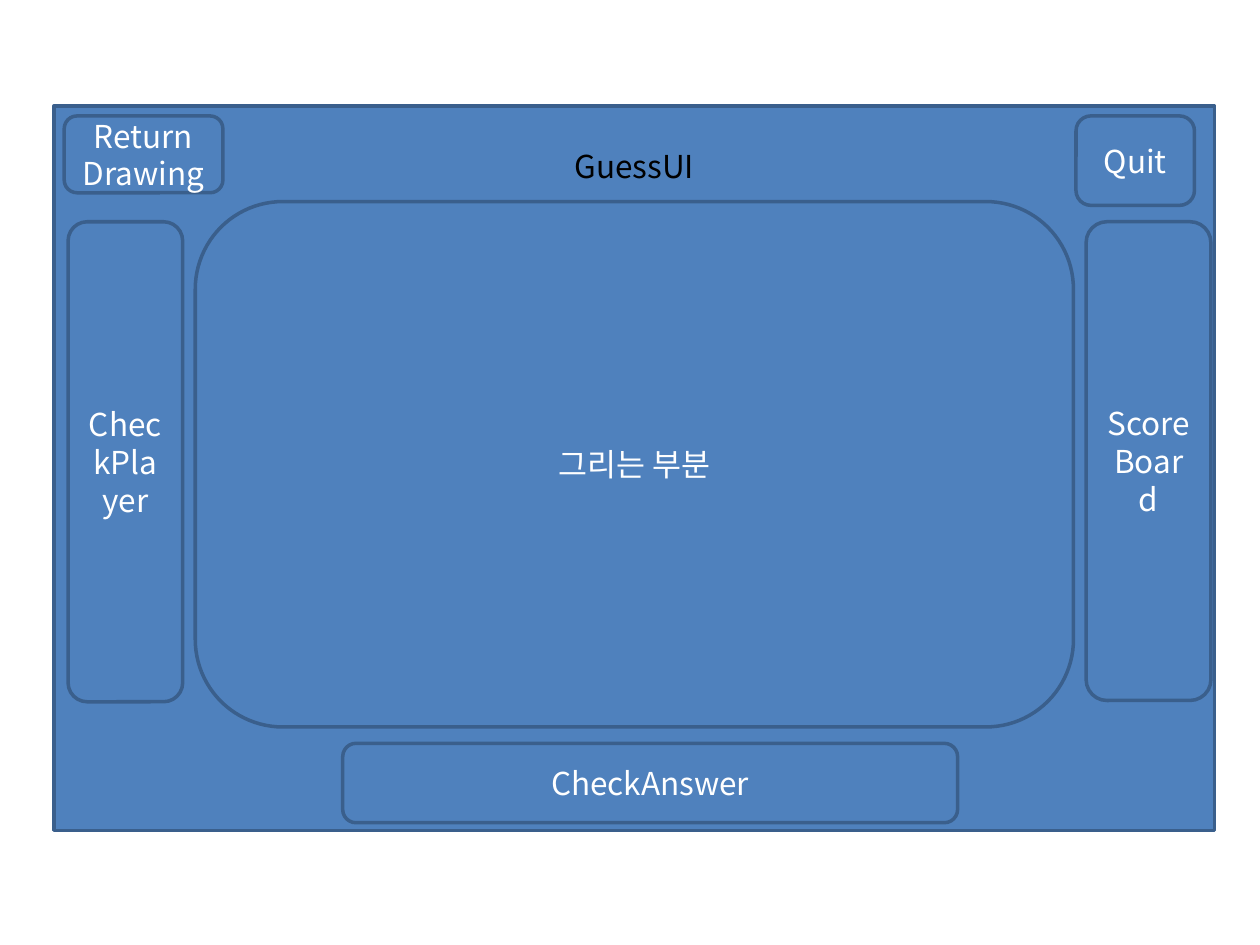
from lxml import etree
from pptx import Presentation
from pptx import util as u
from pptx.dml.color import RGBColor
from pptx.enum import shapes, text
from pptx.oxml import ns

BLUE = RGBColor(0x4F, 0x81, 0xBD)
BORDER = RGBColor(0x3A, 0x5F, 0x8C)
WHITE = RGBColor(0xFF, 0xFF, 0xFF)
BLACK = RGBColor(0x00, 0x00, 0x00)

RECTANGLE = shapes.MSO_SHAPE.RECTANGLE
ROUNDED = shapes.MSO_SHAPE.ROUNDED_RECTANGLE


class Wireframe:
    """Holds the text style and the slide being drawn."""

    font_format = {"name": "Noto Sans CJK KR", "size": u.Pt(18)}

    def __init__(self, slide):
        self.slide = slide

    def set_text(self, shape, lines, color, anchor):
        frame = shape.text_frame
        frame.word_wrap = True
        frame.vertical_anchor = anchor
        frame.text = "\n".join(lines)
        for paragraph in frame.paragraphs:
            paragraph.alignment = text.PP_ALIGN.CENTER
            for run in paragraph.runs:
                for name, value in self.font_format.items():
                    setattr(run.font, name, value)
                run.font.color.rgb = color
                # Hangul takes its font from the East Asian slot
                properties = run._r.get_or_add_rPr()
                east_asian = etree.SubElement(properties, ns.qn("a:ea"))
                east_asian.set("typeface", self.font_format["name"])

    def panel(self, box, *lines, kind=ROUNDED):
        shape = self.slide.shapes.add_shape(kind, *map(u.Inches, box))
        shape.shadow.inherit = False
        shape.fill.solid()
        shape.fill.fore_color.rgb = BLUE
        shape.line.color.rgb = BORDER
        shape.line.width = u.Pt(2)
        if lines:
            self.set_text(shape, lines, WHITE, text.MSO_ANCHOR.MIDDLE)

    def label(self, box, line):
        shape = self.slide.shapes.add_textbox(*map(u.Inches, box))
        self.set_text(shape, [line], BLACK, text.MSO_ANCHOR.TOP)


def main():
    presentation = Presentation()
    presentation.slide_width = u.Inches(10)
    presentation.slide_height = u.Inches(7.5)
    slide = presentation.slides.add_slide(presentation.slide_layouts[6])
    wireframe = Wireframe(slide)

    # Window and title
    wireframe.panel((0.43, 0.84, 9.21, 5.75), kind=RECTANGLE)
    wireframe.label((3.62, 1.12, 2.83, 0.4), "GuessUI")

    # Side panels
    wireframe.panel((8.62, 1.76, 0.99, 3.8), "Score", "Board")
    wireframe.panel((0.54, 1.76, 0.91, 3.81), "CheckPlayer")

    # Top buttons
    wireframe.panel((8.54, 0.92, 0.94, 0.71), "Quit")
    wireframe.panel((0.51, 0.92, 1.26, 0.61), "Return", "Drawing")

    # Answer field and drawing area
    wireframe.panel((2.72, 5.9, 4.88, 0.63), "CheckAnswer")
    wireframe.panel((1.55, 1.6, 6.97, 4.17), "그리는 부분")

    presentation.save("out.pptx")


if __name__ == "__main__":
    main()
